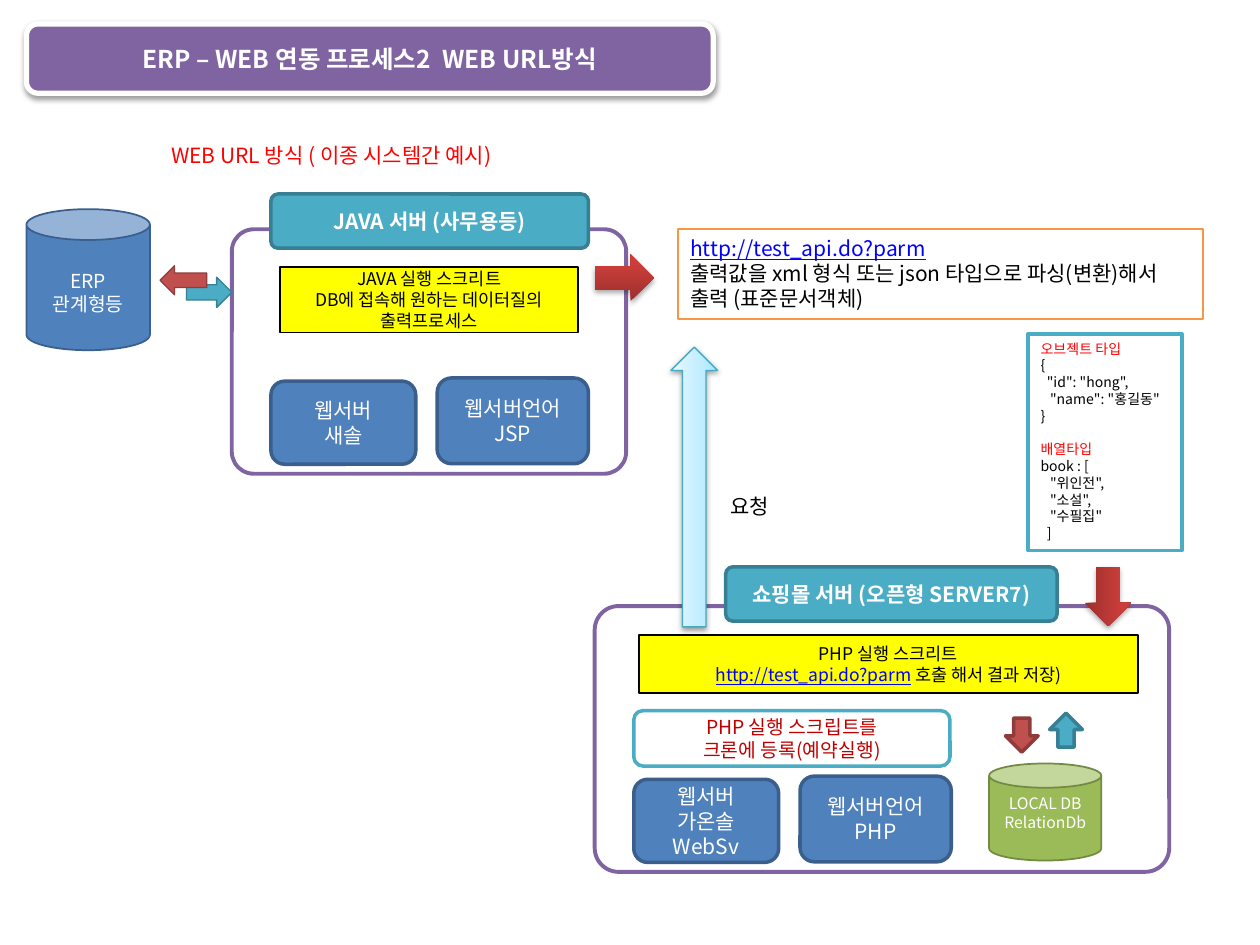
from dataclasses import dataclass, replace
from typing import Optional

from lxml.etree import SubElement
from pptx import Presentation
from pptx.dml.color import RGBColor
from pptx.enum.shapes import MSO_SHAPE as Kind
from pptx.enum.text import MSO_ANCHOR as Anchor, MSO_AUTO_SIZE as AutoSize, PP_ALIGN as Align
from pptx.oxml.ns import qn
from pptx.util import Emu, Inches, Pt

FONT = "Noto Sans CJK KR"
CELL = Inches(0.1)  # the slide is a grid of 100 columns by 75 rows
URL = "http://test_api.do?parm"
BLUE, BLUE_EDGE = "4F81BD", "3A5F8C"
TEAL, TEAL_EDGE = "4BACC6", "377F92"
RED, RED_EDGE = "C0504D", "8E3B39"
PURPLE, WHITE, BLACK, YELLOW = "8064A2", "FFFFFF", "000000", "FFFF00"
RED_FADE = ((0, "9C2F2D"), (80, "CB3E3A"), (100, "CE3B37"))
SKY_FADE = ((0, "A7E6FF"), (35, "C1EDFF"), (100, "E7F8FF"))


@dataclass(frozen=True)
class Line:
    """One paragraph; indent and gap above are in points."""
    text: str
    color: Optional[str] = None
    indent: float = 0
    gap: float = 0


@dataclass(frozen=True)
class Block:
    """A shape at (column, row, columns, rows) with its look and its lines."""
    kind: Kind
    at: tuple
    fill: Optional[str] = None
    edge: Optional[str] = None
    weight: float = 2
    lines: tuple = ()
    size: float = 12
    color: str = WHITE
    bold: bool = False
    align: Align = Align.CENTER
    anchor: Anchor = Anchor.MIDDLE
    inset: float = 0.5
    adjust: tuple = ()
    turn: int = 0
    fade: tuple = ()
    shadow: tuple = ()


def rgb(value: str) -> RGBColor:
    """Turn a hex string into a colour."""
    return RGBColor.from_string(value)


def cells(count: float) -> Emu:
    """Convert grid cells to a length."""
    return Emu(round(count * CELL))


def add_fade(properties, stops: tuple) -> None:
    """Append a bottom-to-top gradient fill."""
    gradient = SubElement(properties, qn("a:gradFill"), rotWithShape="1")
    stop_list = SubElement(gradient, qn("a:gsLst"))
    for share, value in stops:
        stop = SubElement(stop_list, qn("a:gs"), pos=str(share * 1000))
        SubElement(stop, qn("a:srgbClr"), val=value)
    SubElement(gradient, qn("a:lin"), ang="16200000", scaled="0")


def add_shadow(properties, opacity: int, blur: float, distance: float) -> None:
    """Put a downward shadow into the effect list."""
    outer = SubElement(properties.find(qn("a:effectLst")), qn("a:outerShdw"),
                       blurRad=str(Pt(blur)), dist=str(Pt(distance)),
                       dir="5400000", rotWithShape="0")
    shade = SubElement(outer, qn("a:srgbClr"), val=BLACK)
    SubElement(shade, qn("a:alpha"), val=str(opacity * 1000))


def write_line(paragraph, line: Line, block: Block) -> None:
    """Write one paragraph, marking the address as a link in colour."""
    before, address, after = line.text.partition(URL)
    paragraph.text = before
    paragraph.alignment = block.align
    if line.gap:
        paragraph.space_before = Pt(line.gap)
    font = paragraph.font
    font.size, font.bold, font.name = Pt(block.size), block.bold, FONT
    font.color.rgb = rgb(line.color or block.color)
    properties = paragraph._p.get_or_add_pPr()
    if line.indent:
        properties.set("marL", str(Pt(line.indent)))
    east_asian = SubElement(properties.find(qn("a:defRPr")), qn("a:ea"))
    east_asian.set("typeface", FONT)
    if address:
        link = paragraph.add_run()
        link.text = address
        link.font.underline = True
        link.font.color.rgb = rgb("0000FF")
        if after:
            paragraph.add_run().text = after


def write_lines(frame, block: Block) -> None:
    """Fill a text frame with the lines of a block."""
    frame.word_wrap, frame.auto_size = True, AutoSize.NONE
    frame.vertical_anchor = block.anchor
    frame.margin_top = cells(block.inset)
    for index, line in enumerate(block.lines):
        paragraph = frame.add_paragraph() if index else frame.paragraphs[0]
        write_line(paragraph, line if isinstance(line, Line) else Line(line), block)


def draw(slide, block: Block) -> None:
    """Draw a block as a new shape."""
    shape = slide.shapes.add_shape(block.kind, *map(cells, block.at))
    properties = shape._element.spPr
    for index, value in enumerate(block.adjust):
        shape.adjustments[index] = value
    shape.rotation = block.turn
    if block.fade:
        add_fade(properties, block.fade)
    elif block.fill:
        shape.fill.solid()
        shape.fill.fore_color.rgb = rgb(block.fill)
    else:
        shape.fill.background()
    if block.edge:
        shape.line.color.rgb = rgb(block.edge)
        shape.line.width = Pt(block.weight)
    else:
        shape.line.fill.background()
    shape.shadow.inherit = False
    if block.shadow:
        add_shadow(properties, *block.shadow)
    if block.lines:
        write_lines(shape.text_frame, block)


def draw_title(slide, block: Block) -> None:
    """Draw the title's panel and lay the title placeholder over it."""
    draw(slide, replace(block, lines=()))
    title = slide.shapes.title
    title.left, title.top, title.width, title.height = map(cells, block.at)
    write_lines(title.text_frame, block)
    slide.shapes._spTree.append(title._element)


def server(left: float, top: float, size: tuple, banner: Block, script: Block,
           software: tuple, language: tuple) -> list:
    """List a server's blocks; its tiles are placed up from the frame's bottom."""
    bottom = top + size[1]
    tile = Block(Kind.ROUNDED_RECTANGLE, (left + 3.1, bottom - 7.35, 11.5, 6.6),
                 BLUE, BLUE_EDGE, lines=software)
    return [
        Block(Kind.ROUNDED_RECTANGLE, (left, top, *size), WHITE, PURPLE, 2.25, adjust=(0.09,)),
        tile,
        replace(tile, at=(left + 16.3, bottom - 7.6, 12, 6.8), lines=language),
        script,
        banner,
    ]


TITLE = Block(Kind.ROUNDED_RECTANGLE, (2.1, 1.9, 54.5, 5.5), PURPLE, WHITE, 3,
              ("ERP – WEB 연동 프로세스2  WEB URL방식",), 14, bold=True, shadow=(38, 3.1, 1.6))
LABEL = Block(Kind.RECTANGLE, (12.6, 10.8, 32, 3), lines=("WEB URL 방식 ( 이종 시스템간 예시)",),
              color="FF0000", align=Align.LEFT, anchor=Anchor.TOP)
BANNER = Block(Kind.ROUNDED_RECTANGLE, (21.5, 15.4, 25.2, 4.3), TEAL, TEAL_EDGE,
               lines=("JAVA 서버 (사무용등)",), bold=True, adjust=(0.13,))
SCRIPT = Block(Kind.RECTANGLE, (22.2, 21.2, 23.7, 5.2), YELLOW, BLACK, 1,
               ("JAVA 실행 스크리트", "DB에 접속해 원하는 데이터질의 출력프로세스"), 10, BLACK)
DATABASE = Block(Kind.CAN, (2.1, 16.6, 9.8, 11.2), BLUE, BLUE_EDGE, 1, ("ERP", "관계형등"),
                 11, anchor=Anchor.TOP, inset=2.3)
TEAL_ARROW = Block(Kind.DOWN_ARROW, (15.4, 21.4, 2.4, 3.6), TEAL, TEAL_EDGE, 0.75, turn=270)
RED_ARROW = Block(Kind.DOWN_ARROW, (13.4, 20.4, 2.3, 3.7), RED, RED_EDGE, 0.75, turn=90)
OUTPUT_ARROW = Block(Kind.RIGHT_ARROW, (47.2, 20.2, 4.7, 3.7), fade=RED_FADE, shadow=(35, 3.1, 1.8))
RESPONSE = replace(LABEL, at=(53.8, 18.2, 41.7, 7.1), fill=WHITE, edge="F79646", weight=1, color=BLACK,
                   lines=(URL, "출력값을 xml 형식 또는 json 타입으로 파싱(변환)해서 출력 (표준문서객체)"))
SAMPLE = replace(RESPONSE, at=(81.6, 26.5, 12.2, 17.2), edge=TEAL, weight=2, size=8, lines=(
    Line("오브젝트 타입", "FF0000"), "{", Line('"id": "hong",', indent=3.6),
    Line('"name": "홍길동"', indent=5.4), "}", Line("배열타입", "FF0000", gap=9.7), "book : [",
    *(Line(f'"{book}', indent=5.4) for book in ('위인전",', '소설",', '수필집"')),
    Line("]", indent=3.6)))

BLOCKS = [
    LABEL,
    *server(18.4, 18.2, (31.3, 19.4), BANNER, SCRIPT, ("웹서버\v새솔",), ("웹서버언어", "JSP")),
    DATABASE, TEAL_ARROW, RED_ARROW, OUTPUT_ARROW, RESPONSE, SAMPLE,
    *server(47.2, 48.1, (45.6, 21.1),
            replace(BANNER, at=(57.6, 45, 26.3, 4.3), lines=("쇼핑몰 서버 (오픈형 SERVER7)",)),
            replace(SCRIPT, at=(50.7, 50.4, 39.6, 4.6),
                    lines=(f"PHP 실행 스크리트\v{URL} 호출 해서 결과 저장)",)),
            ("웹서버\v가온솔\vWebSv",), ("웹서버언어", "PHP")),
    replace(RED_ARROW, at=(79.8, 57, 2.6, 2.7), weight=2, turn=0),
    replace(TEAL_ARROW, at=(83.3, 56.6, 2.6, 2.7), weight=2, turn=180),
    Block(Kind.ROUNDED_RECTANGLE, (50.3, 56.4, 25.1, 4.4), WHITE, TEAL,
          lines=("PHP 실행 스크립트를", "크론에 등록(예약실행)"), size=11, color="C00000"),
    replace(DATABASE, at=(78.5, 60.6, 8.9, 7.7), fill="9BBB59", edge="738A42",
            lines=("LOCAL DB", "RelationDb"), size=9, inset=0.5),
    replace(OUTPUT_ARROW, at=(85.6, 45.5, 4.7, 3.7), turn=90),
    Block(Kind.RIGHT_ARROW, (44, 36.8, 22.2, 3.7), edge="46AAC5", weight=0.75, turn=270,
          fade=SKY_FADE, shadow=(38, 3.1, 1.6)),
    replace(LABEL, at=(57, 38.7, 7.6, 3), lines=("요청",), color=BLACK),
]

deck = Presentation()
deck.slide_width, deck.slide_height = cells(100), cells(75)
page = deck.slides.add_slide(deck.slide_layouts[5])
draw_title(page, TITLE)
for item in BLOCKS:
    draw(page, item)
deck.save("out.pptx")
